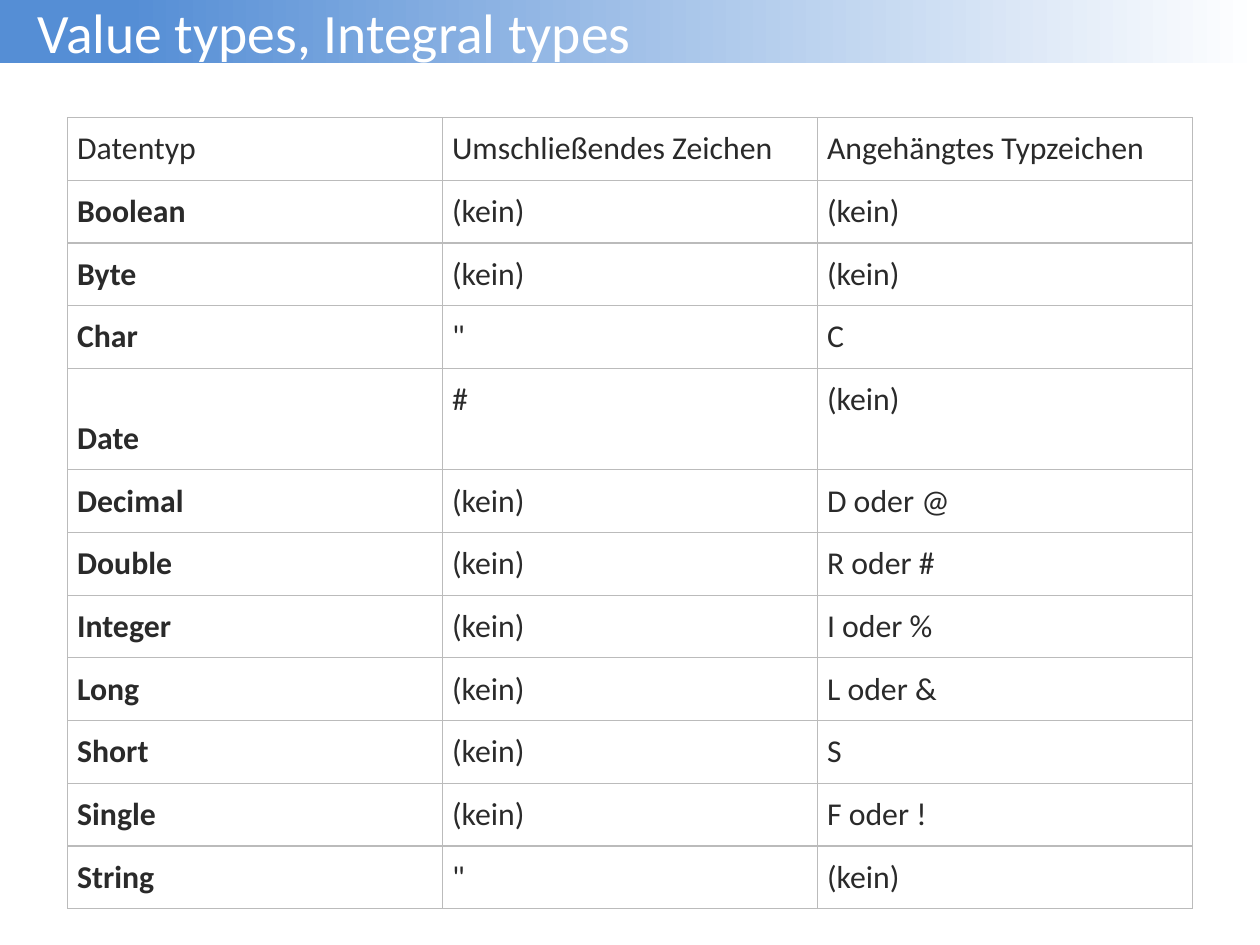
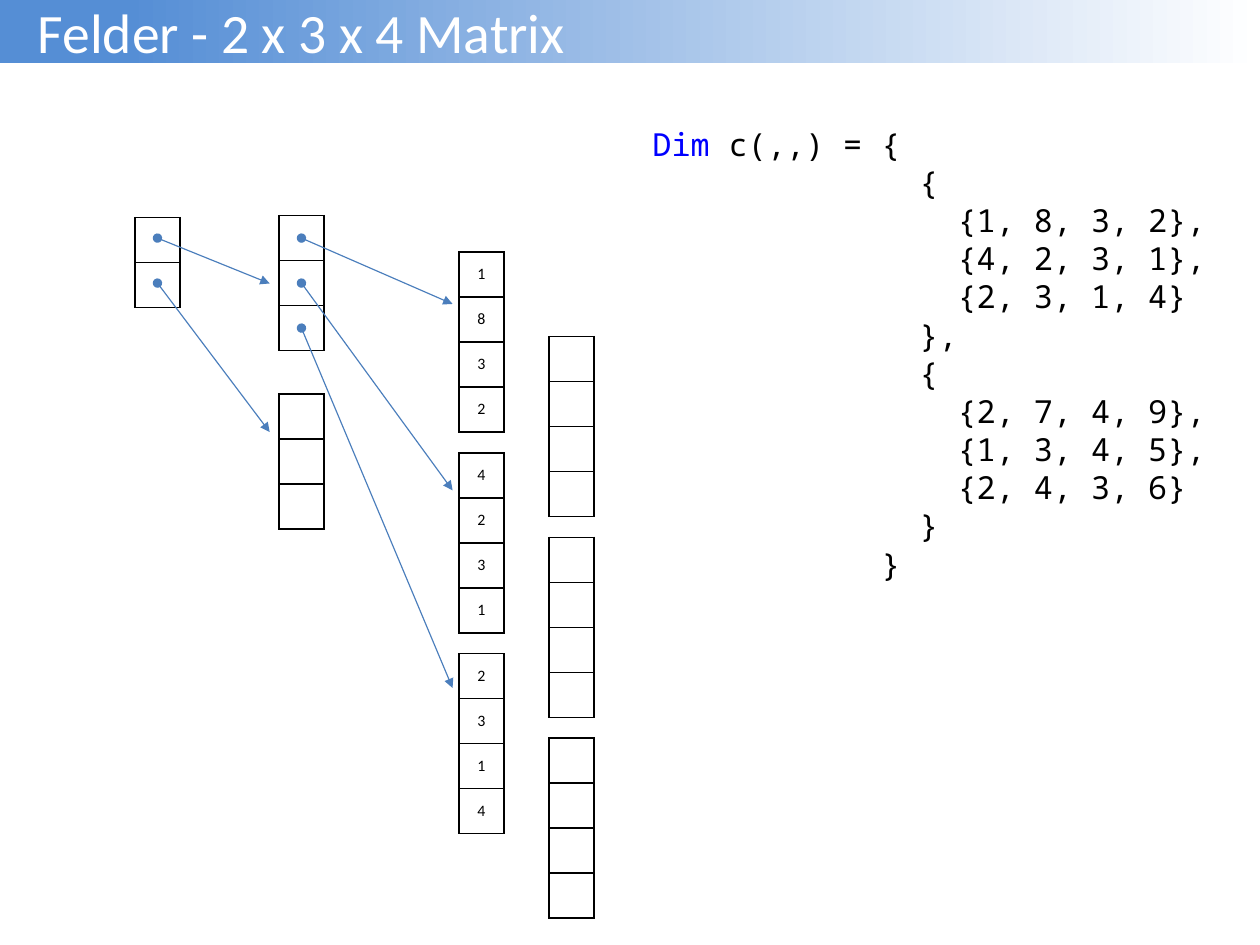
import pptx
import pptx.dml.color
import pptx.enum.shapes
import pptx.enum.text
import pptx.oxml
import pptx.oxml.ns
import pptx.util
from lxml import etree

Pt = pptx.util.Pt
ALIGN = pptx.enum.text.PP_ALIGN
ANCHOR = pptx.enum.text.MSO_ANCHOR
NAMESPACE = pptx.oxml.ns.nsdecls("a")

TYPES = [
    ("Datentyp", "Umschließendes Zeichen", "Angehängtes Typzeichen"),
    ("Boolean", "(kein)", "(kein)"),
    ("Byte", "(kein)", "(kein)"),
    ("Char", '"', "C"),
    ("Date", "#", "(kein)"),
    ("Decimal", "(kein)", "D oder @"),
    ("Double", "(kein)", "R oder #"),
    ("Integer", "(kein)", "I oder %"),
    ("Long", "(kein)", "L oder &"),
    ("Short", "(kein)", "S"),
    ("Single", "(kein)", "F oder !"),
    ("String", '"', "(kein)"),
]

CODE = """Dim c(,,) = {
              {
                {1, 8, 3, 2},
                {4, 2, 3, 1},
                {2, 3, 1, 4}
              },
              {
                {2, 7, 4, 9},
                {1, 3, 4, 5},
                {2, 4, 3, 6}
              }
            }"""


def color(value):
    return pptx.dml.color.RGBColor.from_string(value)


def write(paragraph, text, size=20, font="Calibri", ink="000000", bold=False, align=ALIGN.LEFT):
    paragraph.alignment = align
    run = paragraph.add_run()
    run.text = text
    run.font.size = Pt(size)
    run.font.name = font
    run.font.bold = bold
    run.font.color.rgb = color(ink)


def set_margins(target, horizontal, vertical):
    target.margin_left = target.margin_right = Pt(horizontal)
    target.margin_top = target.margin_bottom = Pt(vertical)


class Deck:
    width, height = 793.7, 595.3
    band_height = 39.7
    band_color, paper, link_color = "558ED5", "FFFFFF", "4B7EBC"
    code_font, keyword_color = "Noto Sans Mono", "0000FF"

    def __init__(self):
        self.presentation = pptx.Presentation()
        self.presentation.slide_width = Pt(self.width)
        self.presentation.slide_height = Pt(self.height)
        self.slide = None

    def new_slide(self, title):
        self.slide = self.presentation.slides.add_slide(self.presentation.slide_layouts[5])
        shape = self.slide.shapes.title
        shape.left, shape.top = Pt(0), Pt(0)
        shape.width, shape.height = Pt(self.width), Pt(self.band_height)
        shape.fill.gradient()
        shape.fill.gradient_angle = 0
        stops = zip(shape.fill.gradient_stops, (0.1, 1), (self.band_color, self.paper))
        for stop, position, value in stops:
            stop.position = position
            stop.color.rgb = color(value)
        frame = shape.text_frame
        frame.word_wrap = True
        frame.auto_size = pptx.enum.text.MSO_AUTO_SIZE.NONE
        frame.vertical_anchor = ANCHOR.MIDDLE
        set_margins(frame, 8, 4)
        paragraph = frame.paragraphs[0]
        paragraph._p.get_or_add_pPr().set("marL", str(Pt(15.8)))
        write(paragraph, title, size=35, ink=self.paper)

    def table(self, rows, left, top, column_width, row_height, border, line_width,
              margins=(0, 0), anchor=ANCHOR.TOP, bold_labels=False, **text_format):
        columns = len(rows[0])
        table = self.slide.shapes.add_table(
            len(rows), columns, Pt(left), Pt(top),
            Pt(column_width * columns), Pt(row_height * len(rows))).table
        table.first_row = table.horz_banding = False
        for row_index, values in enumerate(rows):
            for column_index, value in enumerate(values):
                cell = table.cell(row_index, column_index)
                self.border(cell, border, line_width)
                cell.fill.background()
                cell.vertical_anchor = anchor
                set_margins(cell, *margins)
                if value:
                    bold = bold_labels and row_index > 0 and column_index == 0
                    write(cell.text_frame.paragraphs[0], value, bold=bold, **text_format)
        return table

    def border(self, cell, value, line_width):
        properties = cell._tc.get_or_add_tcPr()
        for side in ("lnL", "lnR", "lnT", "lnB"):
            properties.append(pptx.oxml.parse_xml(
                f'<a:{side} {NAMESPACE} w="{Pt(line_width)}"><a:solidFill>'
                f'<a:srgbClr val="{value}"/></a:solidFill></a:{side}>'))

    def stack(self, values, left, top, cell_size=28.35):
        self.table([[value] for value in values], left, top, cell_size, cell_size,
                   "000000", 1, anchor=ANCHOR.MIDDLE, size=10, align=ALIGN.CENTER)

    def link(self, start, end):
        connector = self.slide.shapes.add_connector(
            pptx.enum.shapes.MSO_CONNECTOR.STRAIGHT, *map(Pt, start + end))
        connector.line.color.rgb = color(self.link_color)
        connector.line.width = Pt(0.75)
        line = connector.line._get_or_add_ln()
        for tag, kind in (("a:headEnd", "oval"), ("a:tailEnd", "triangle")):
            etree.SubElement(line, pptx.oxml.ns.qn(tag), type=kind)
        etree.SubElement(connector._element.spPr, pptx.oxml.ns.qn("a:effectLst"))

    def code(self, text, keyword, left, top, width, height):
        frame = self.slide.shapes.add_textbox(Pt(left), Pt(top), Pt(width), Pt(height)).text_frame
        frame.word_wrap = True
        for index, line in enumerate(text.split("\n")):
            paragraph = frame.paragraphs[0] if index == 0 else frame.add_paragraph()
            paragraph.line_spacing = Pt(24.05)
            if line.startswith(keyword):
                write(paragraph, keyword, font=self.code_font, ink=self.keyword_color)
                line = line[len(keyword):]
            write(paragraph, line, font=self.code_font)


def build_types(deck):
    deck.new_slide("Value types, Integral types")
    table = deck.table(TYPES, 42.6, 74.1, 236.2, 39.45, "BBBBBB", 0.75,
                       margins=(6, 7.5), bold_labels=True, ink="2A2A2A")
    date_row = [row[0] for row in TYPES].index("Date")
    table.rows[date_row].height = Pt(64)
    table.cell(date_row, 0).vertical_anchor = ANCHOR.BOTTOM


def build_matrix(deck):
    deck.new_slide("Felder - 2 x 3 x 4 Matrix")
    outer_left, middle_left, filled_left, empty_left = 85, 175.7, 289.1, 345.8
    deck.stack([""] * 2, outer_left, 137)
    for index in range(2):
        deck.stack([""] * 3, middle_left, 135.8 + 112.4 * index)
    for index, digits in enumerate(("1832", "4231", "2314")):
        offset = 126.5 * index
        deck.stack(digits, filled_left, 158.8 + offset)
        deck.stack([""] * 4, empty_left, 212 + offset)

    link_groups = (
        (outer_left, middle_left - 5.8, (178.6, 272.2)),
        (middle_left, filled_left - 4, (191.5, 308.9, 433.4)),
    )
    for left, end_x, ends in link_groups:
        for index, end_y in enumerate(ends):
            deck.link((left + 14.2, 150 + 28.35 * index), (end_x, end_y))
    deck.code(CODE, "Dim", 403.9, 74.9, 385.2, 298)


def main():
    deck = Deck()
    build_types(deck)
    build_matrix(deck)
    deck.presentation.save("out.pptx")


if __name__ == "__main__":
    main()
